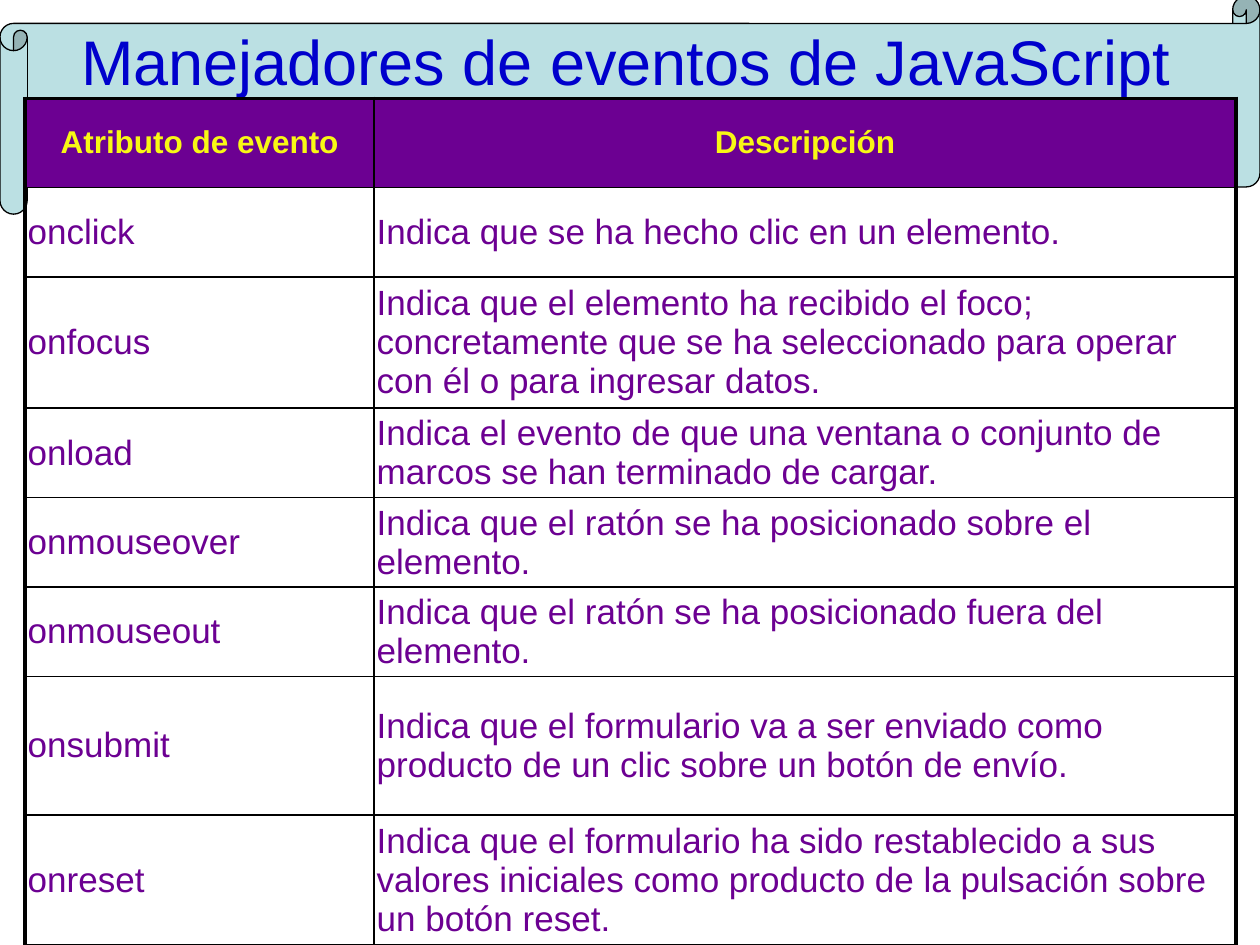
"""Build a slide with a table of JavaScript event handlers under a scroll banner."""
from lxml import etree
from pptx import Presentation
from pptx.dml.color import RGBColor
from pptx.enum.shapes import MSO_SHAPE
from pptx.enum.text import MSO_ANCHOR, PP_ALIGN
from pptx.oxml.ns import qn
from pptx.util import Inches, Pt

SCROLL = MSO_SHAPE.HORIZONTAL_SCROLL
MIDDLE = MSO_ANCHOR.MIDDLE
LEFT, CENTER = PP_ALIGN.LEFT, PP_ALIGN.CENTER
BLACK = RGBColor(0x00, 0x00, 0x00)
BLUE = RGBColor(0x00, 0x00, 0xCC)
PALE_TEAL = RGBColor(0xBB, 0xE0, 0xE3)
PURPLE = RGBColor(0x6C, 0x00, 0x92)
YELLOW = RGBColor(0xF8, 0xF8, 0x14)

TITLE_FORMAT = {"name": "Arial", "size": Pt(36), "bold": False}
HEADER_FORMAT = {"name": "Arial", "size": Pt(18), "bold": True}
BODY_FORMAT = {"name": "Arial", "size": Pt(20), "bold": False}
CELL_FORMAT = {
    "vertical_anchor": MIDDLE,
    "margin_left": Inches(0.02),
    "margin_right": Inches(0.02),
    "margin_top": Inches(0.02),
    "margin_bottom": Inches(0.02),
}
OUTER, INNER = Pt(2.25), Pt(1)
COLUMN_WIDTHS = [2.77, 6.84]
SHORT, TALL = 0.71, 1.04
EVENTS = [
    ("Atributo de evento", "Descripción", SHORT),
    ("onclick", "Indica que se ha hecho clic en un elemento.", SHORT),
    ("onfocus", "Indica que el elemento ha recibido el foco; concretamente que se ha "
     "seleccionado para operar con él o para ingresar datos.", TALL),
    ("onload", "Indica el evento de que una ventana o conjunto de marcos se han "
     "terminado de cargar.", SHORT),
    ("onmouseover", "Indica que el ratón se ha posicionado sobre el elemento.", SHORT),
    ("onmouseout", "Indica que el ratón se ha posicionado fuera del elemento.", SHORT),
    ("onsubmit", "Indica que el formulario va a ser enviado como producto de un clic "
     "sobre un botón de envío.", 1.1),
    ("onreset", "Indica que el formulario ha sido restablecido a sus valores iniciales "
     "como producto de la pulsación sobre un botón reset.", TALL),
]


def write(frame, text, formats, color, alignment):
    paragraph = frame.paragraphs[0]
    paragraph.alignment = alignment
    run = paragraph.add_run()
    run.text = text
    for attribute, value in formats.items():
        setattr(run.font, attribute, value)
    run.font.color.rgb = color


def draw_borders(cell, widths):
    properties = cell._tc.get_or_add_tcPr()
    for position, (side, width) in enumerate(widths.items()):
        border = etree.Element(qn(f"a:ln{side}"), w=str(width))
        fill = etree.SubElement(border, qn("a:solidFill"))
        etree.SubElement(fill, qn("a:srgbClr"), val=str(BLACK))
        properties.insert(position, border)


prs = Presentation()
prs.slide_width, prs.slide_height = Inches(10), Inches(7.5)
slide = prs.slides.add_slide(prs.slide_layouts[5])

title = slide.shapes.title
title.left, title.top = Inches(0.12), Inches(0.08)
title.width, title.height = Inches(9.69), Inches(0.79)
title.text_frame.vertical_anchor = MIDDLE
title.text_frame.word_wrap = True
write(title.text_frame, "Manejadores de eventos de JavaScript", TITLE_FORMAT, BLUE, CENTER)

banner = slide.shapes.add_shape(SCROLL, 0, Inches(-0.03), prs.slide_width, Inches(1.73))
banner.adjustments[0] = 0.125
banner.shadow.inherit = False
banner.fill.solid()
banner.fill.fore_color.rgb = PALE_TEAL
banner.line.color.rgb = BLACK
banner.line.width = Pt(0.75)
title._element.addprevious(banner._element)

handlers = slide.shapes.add_table(
    len(EVENTS), len(COLUMN_WIDTHS), Inches(0.2), Inches(0.78),
    Inches(sum(COLUMN_WIDTHS)), Inches(sum(height for *_, height in EVENTS)),
).table
handlers.horz_banding = False
for column, width in zip(handlers.columns, COLUMN_WIDTHS):
    column.width = Inches(width)

last_row, last_col = len(EVENTS) - 1, len(COLUMN_WIDTHS) - 1
for row, (*texts, height) in enumerate(EVENTS):
    handlers.rows[row].height = Inches(height)
    for col, text in enumerate(texts):
        cell = handlers.cell(row, col)
        for attribute, value in CELL_FORMAT.items():
            setattr(cell, attribute, value)
        if row == 0:
            cell.fill.solid()
            cell.fill.fore_color.rgb = PURPLE
            write(cell.text_frame, text, HEADER_FORMAT, YELLOW, CENTER)
        else:
            cell.fill.background()
            write(cell.text_frame, text, BODY_FORMAT, PURPLE, LEFT)
        draw_borders(cell, {
            "L": OUTER if col == 0 else INNER,
            "R": OUTER if col == last_col else INNER,
            "T": OUTER if row == 0 else INNER,
            "B": OUTER if row == last_row else INNER,
        })

prs.save("out.pptx")
